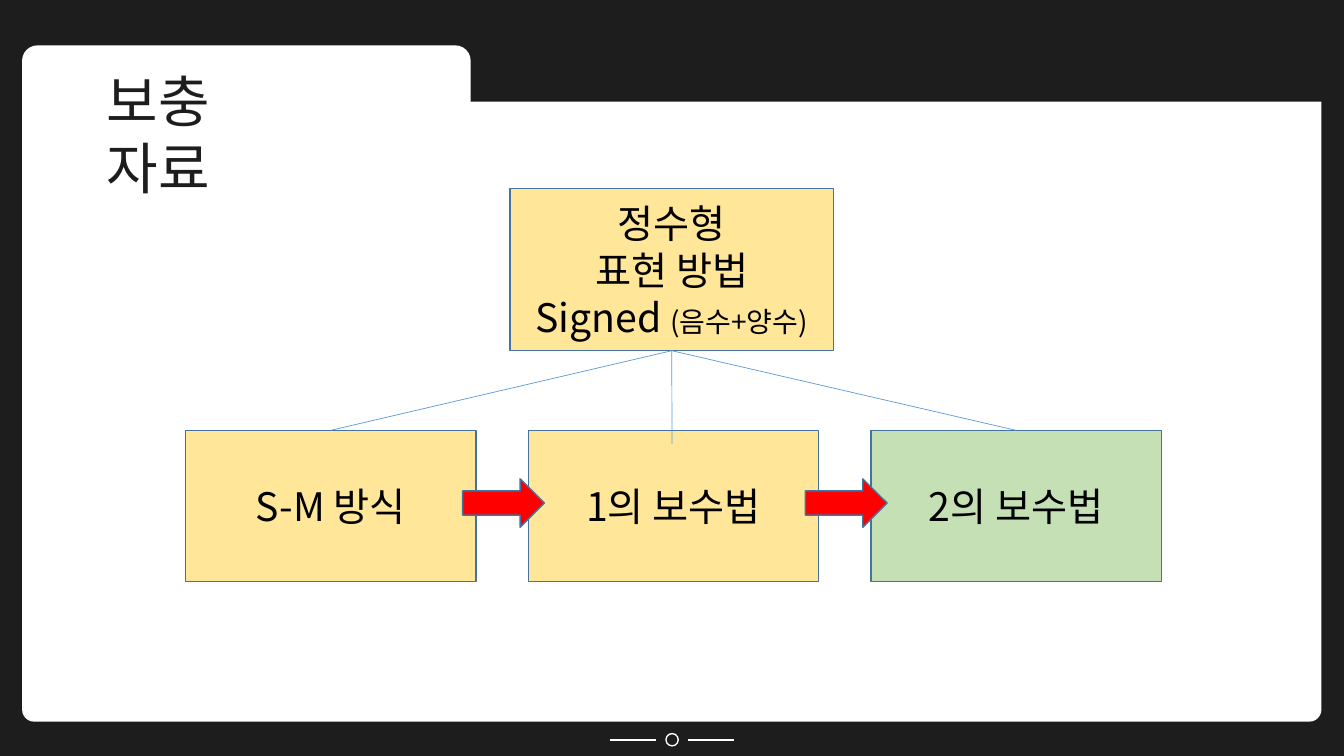
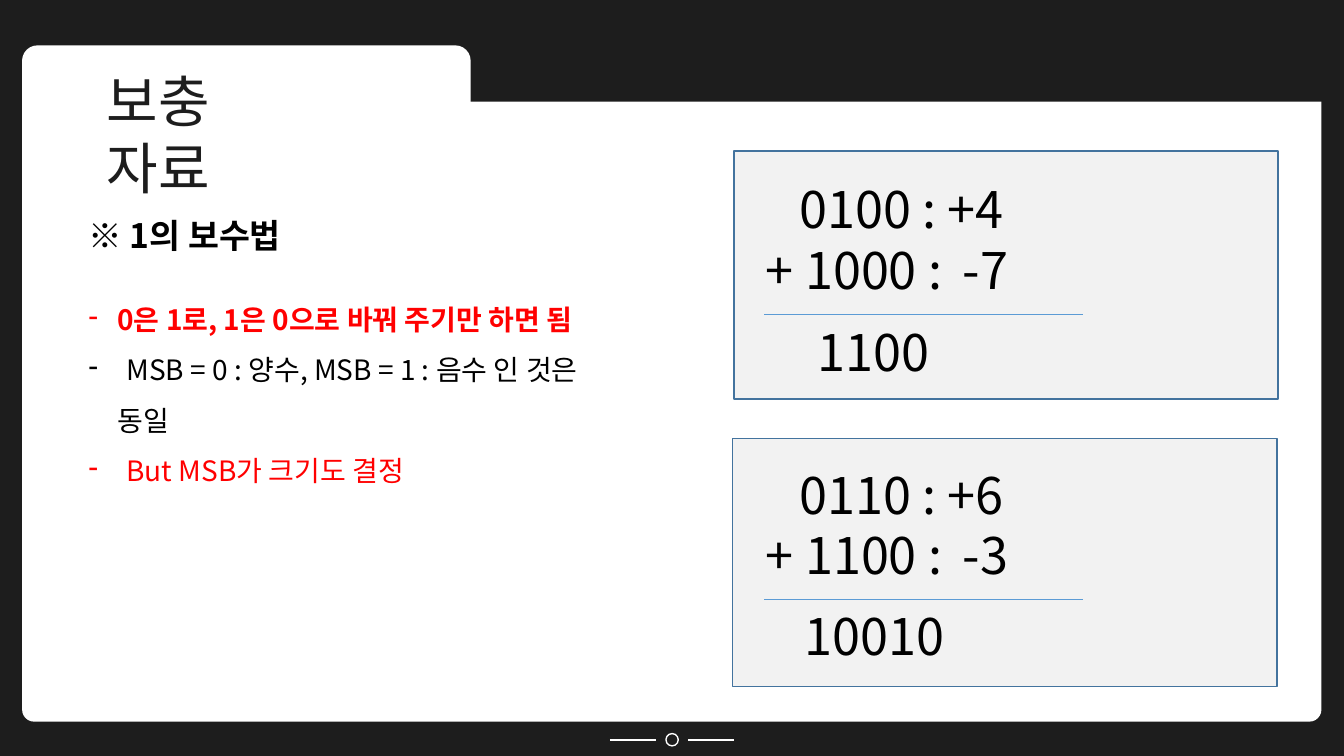
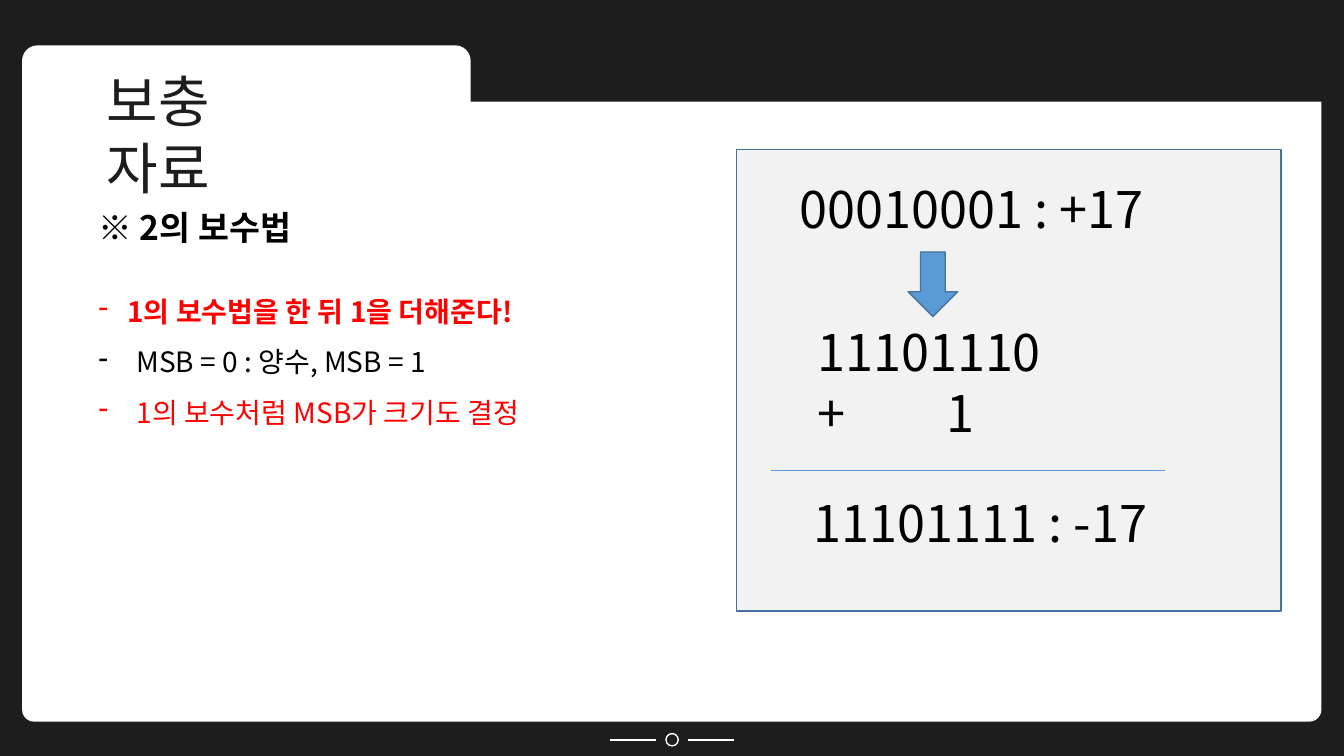
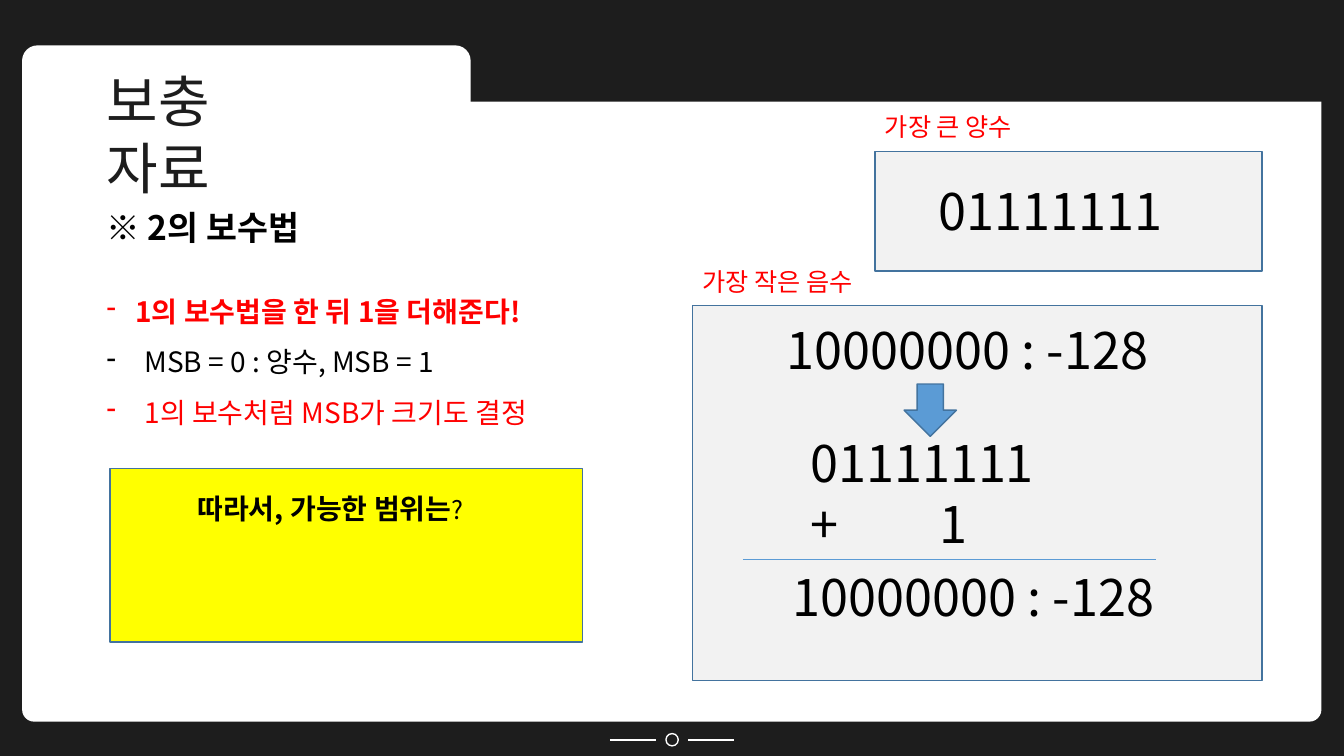
from dataclasses import dataclass

from lxml.etree import SubElement
from pptx import Presentation
from pptx.dml.color import RGBColor
from pptx.enum.shapes import MSO_CONNECTOR, MSO_SHAPE
from pptx.enum.text import MSO_ANCHOR, PP_ALIGN
from pptx.oxml.ns import qn
from pptx.util import Pt

FONT = "Noto Sans CJK KR"
COLORS = {
    "dark": "1D1D1D",
    "white": "FFFFFF",
    "black": "000000",
    "red": "FF0000",
    "outline": "43739E",
    "blue": "5B9BD5",
    "amber": "FFE699",
    "green": "C5E0B4",
    "gray": "F2F2F2",
    "yellow": "FFFF00",
}


@dataclass
class Line:
    text: str
    size: float = 36
    color: str = "black"
    bold: bool = False
    tail: str = ""
    tail_size: float = 18
    margin: float = 0
    bullet: str = ""
    tab: float = 0
    spacing: float = 1
    before: float = 0


class Deck:
    def __init__(self):
        self.deck = Presentation()
        self.deck.slide_width, self.deck.slide_height = Pt(960), Pt(540)
        self.paint(self.deck.slide_master.background.fill, "dark")
        self.page = None

    def paint(self, fill, color):
        fill.solid()
        fill.fore_color.rgb = RGBColor.from_string(COLORS[color])

    def new_page(self):
        self.page = self.deck.slides.add_slide(self.deck.slide_layouts[6])
        rounded = MSO_SHAPE.ROUNDED_RECTANGLE
        for frame, color, radius in (
            ((15.8, 36, 928.1, 479.5), "white", 0.018),
            ((270, 35.3, 682.6, 37.4), "dark", 0.048),
            ((15.8, 32.4, 320.4, 56.9), "white", 0.192),
        ):
            self.shape(frame, color, None, rounded).adjustments[0] = radius
        self.shape((475.7, 524, 8.8, 8.8), None, "white", MSO_SHAPE.OVAL)
        for left, right in ((435.6, 468.7), (491.8, 524.2)):
            self.line((left, 528.5), (right, 528.5), "white", 1)
        self.text((69.1, 43.9, 150, 55.4), [Line("보충 자료", 40, "dark")])

    def shape(self, frame, fill, line="outline", kind=MSO_SHAPE.RECTANGLE):
        shape = self.page.shapes.add_shape(kind, *map(Pt, frame))
        shape.shadow.inherit = False
        if fill:
            self.paint(shape.fill, fill)
        else:
            shape.fill.background()
        if line:
            self.paint(shape.line.fill, line)
            shape.line.width = Pt(1)
        else:
            shape.line.fill.background()
        return shape

    def line(self, start, end, color="blue", width=0.5):
        line = self.page.shapes.add_connector(
            MSO_CONNECTOR.STRAIGHT, *map(Pt, start + end))
        self.paint(line.line.fill, color)
        line.line.width = Pt(width)
        SubElement(line._element.spPr, qn("a:effectLst"))
        return line

    def card(self, frame, fill, lines):
        card = self.shape(frame, fill)
        card.text_frame.vertical_anchor = MSO_ANCHOR.MIDDLE
        self.set_lines(card.text_frame, lines, PP_ALIGN.CENTER)
        return card

    def text(self, frame, lines):
        box = self.page.shapes.add_textbox(*map(Pt, frame))
        self.set_lines(box.text_frame, lines, PP_ALIGN.LEFT)

    def set_lines(self, text_frame, lines, align):
        text_frame.word_wrap = True
        for number, line in enumerate(lines):
            para = text_frame.add_paragraph() if number else text_frame.paragraphs[0]
            para.alignment = align
            if line.spacing != 1:
                para.line_spacing = line.spacing
            if line.before:
                para.space_before = Pt(line.before)
            self.indent(para, line)
            para.add_run().text = line.text
            if line.tail:
                span = para.add_run()
                span.text = line.tail
                span.font.size = Pt(line.tail_size)
                span.font.bold = False
            para.font.size = Pt(line.size)
            para.font.bold = line.bold
            para.font.name = FONT
            self.paint(para.font.fill, line.color)
            SubElement(para.font._element, qn("a:ea"), typeface=FONT)

    def indent(self, para, line):
        properties = para._p.get_or_add_pPr()
        if line.margin:
            properties.set("marL", str(Pt(line.margin)))
        if line.bullet:
            properties.set("indent", str(-Pt(line.margin)))
            SubElement(properties, qn("a:buChar"), char=line.bullet)
        if line.tab:
            tabs = SubElement(properties, qn("a:tabLst"))
            SubElement(tabs, qn("a:tab"), pos=str(Pt(line.tab)), algn="l")

    def notes(self, left, top, heading, rule, details):
        lines = [
            Line(heading, 24, bold=True, spacing=1.5),
            Line(rule, 20, "red", True, margin=20.5, bullet="-", spacing=1.5, before=22),
        ]
        for text, color, margin, bullet in details:
            lines.append(Line(text, 20, color, margin=margin, bullet=bullet, spacing=1.5))
        self.text((left, top, 456.5, 36 * len(lines) + 33), lines)

    def twos_complement_notes(self, left):
        self.notes(left, 129.6, "※ 2의 보수법", "1의 보수법을 한 뒤 1을 더해준다!", [
            ("MSB = 0 : 양수, MSB = 1", "black", 27, "-"),
            ("1의 보수처럼 MSB가 크기도 결정", "red", 27, "-"),
        ])

    def number(self, left, top, text, margin=0, width=383):
        self.text((left, top, width, 51.1), [Line(text, margin=margin)])

    def plus_one(self, left, top, bits):
        self.text((left, top, 210, 94.3), [Line(bits), Line("+\t1", tab=92.5)])


def methods_page(deck):
    deck.new_page()
    root = deck.card((364.3, 134.6, 231.1, 115.9), "amber", [
        Line("정수형", 28),
        Line("표현 방법", 28),
        Line("Signed ", 28, tail="(음수+양수)", tail_size=20),
    ])
    step = 244.8
    methods = (("S-M 방식", "amber"), ("1의 보수법", "amber"), ("2의 보수법", "green"))
    cards = [
        deck.card((132.5 + step * column, 307.4, 207.4, 108), fill, [Line(name, 28)])
        for column, (name, fill) in enumerate(methods)
    ]
    for column, card in enumerate(cards):
        branch = deck.line((480, 250.5), (480, 316.8))
        branch.begin_connect(root, 2)
        if column != 1:
            branch.end_connect(card, 0)
    for column in range(2):
        deck.shape((330.5 + step * column, 342, 58.3, 34.6), "red",
                   kind=MSO_SHAPE.RIGHT_ARROW)


def ones_complement_page(deck):
    deck.new_page()
    deck.notes(56.2, 135.4, "※ 1의 보수법", "0은 1로, 1은 0으로 바꿔 주기만 하면 됨", [
        ("MSB = 0 : 양수, MSB = 1 : 음수 인 것은", "black", 27, "-"),
        ("동일", "black", 20.5, ""),
        ("But MSB가 크기도 결정", "red", 27, "-"),
    ])
    sums = (
        ((524.2, 108), 123.8, "0100 : +4", "+ 1000 :\t-7", (576.7, 226.1), "1100"),
        ((523.4, 313.2), 327.6, "0110 : +6", "+ 1100 :\t-3", (567.4, 428.4), "10010"),
    )
    for corner, top, first, second, place, result in sums:
        deck.shape((*corner, 388.8, 177.1), "gray")
        deck.text((540, top, 383, 94.3), [Line(first, margin=24), Line(second, tab=140.5)])
        deck.line((545.8, top + 100.8), (773.3, top + 100.8))
        deck.number(*place, result, width=115.9)


def twos_complement_page(deck):
    deck.new_page()
    deck.shape((526.3, 106.6, 388.8, 329.8), "gray")
    deck.twos_complement_notes(63.4)
    deck.number(540, 123.8, "00010001 : +17", 24)
    deck.plus_one(576.7, 226.1, "11101110")
    deck.number(565.9, 347.8, "11101111 : -17", 8)
    deck.line((550.8, 336.2), (832.3, 336.2))
    deck.shape((648.7, 180, 35.3, 46.1), "blue", kind=MSO_SHAPE.DOWN_ARROW)


def range_page(deck):
    deck.new_page()
    deck.shape((78.5, 334.8, 337.7, 123.8), "yellow")
    deck.shape((625, 108, 276.5, 85.7), "gray")
    deck.twos_complement_notes(69.1)
    deck.number(639.4, 125.3, "01111111", 24)
    deck.shape((494.6, 218.2, 406.8, 267.8), "gray")
    deck.number(530.6, 224.6, "10000000 : -128", 24, 400)
    deck.plus_one(571.7, 305.3, "01111111")
    deck.line((530.6, 399.6), (825.8, 399.6))
    deck.shape((645.8, 274.3, 37.4, 37.4), "blue", kind=MSO_SHAPE.DOWN_ARROW)
    deck.number(535, 401, "10000000 : -128", 24, 400)
    deck.text((625, 76.3, 129.6, 28.8), [Line("가장 큰 양수", 18, "red")])
    deck.text((494.6, 186.5, 162.7, 28.8), [Line("가장 작은 음수", 18, "red")])
    deck.text((133.9, 347.8, 258.5, 53.3),
              [Line("따라서, 가능한 범위는", 20, bold=True, tail="?")])


def main():
    deck = Deck()
    methods_page(deck)
    ones_complement_page(deck)
    twos_complement_page(deck)
    range_page(deck)
    deck.deck.save("out.pptx")


if __name__ == "__main__":
    main()
